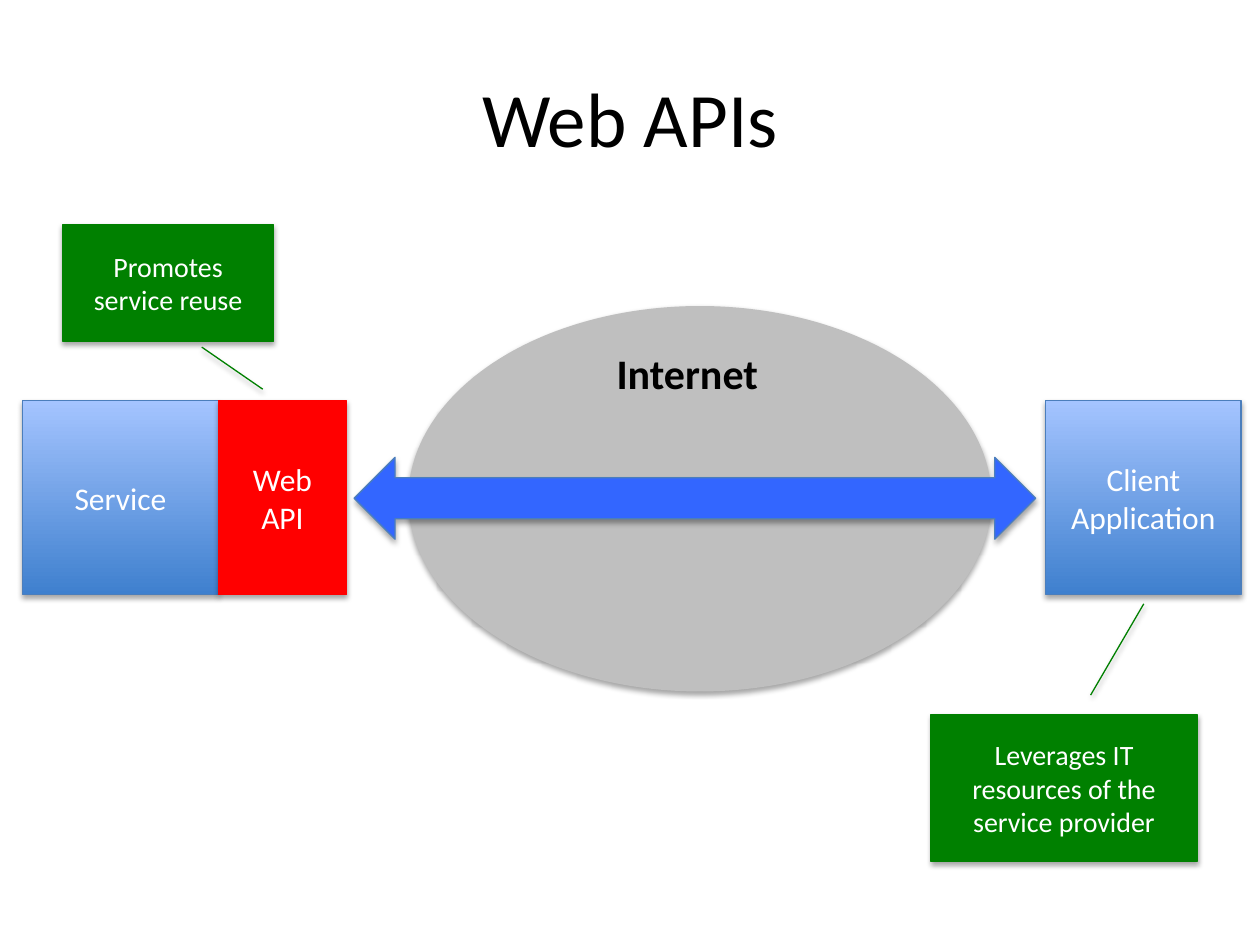
from dataclasses import dataclass

from lxml.etree import SubElement
from pptx import Presentation
from pptx.dml.color import RGBColor
from pptx.enum.shapes import MSO_SHAPE
from pptx.enum.text import MSO_ANCHOR, MSO_AUTO_SIZE, PP_ALIGN
from pptx.oxml.ns import qn
from pptx.util import Cm, Pt


@dataclass(frozen=True)
class Theme:
    font: str = "Calibri"
    black: str = "000000"
    white: str = "FFFFFF"
    red: str = "FF0000"
    green: str = "008000"
    grey: str = "BFBFBF"
    arrow_blue: str = "3366FF"
    outline_blue: str = "4B7EBC"
    box_gradient: tuple = ("3F80CE", "A4C4FF")  # bottom, top
    title_size: int = 44
    heading_size: int = 24
    box_size: int = 18
    callout_size: int = 16
    line_width: float = 0.75


THEME = Theme()
ROW_TOP, ROW_HEIGHT = 8.08, 3.91
BOX_WIDTH = 3.94


def write_text(shape, lines, size, color, bold=False):
    """Write one centred paragraph per line."""
    frame = shape.text_frame
    frame.word_wrap = True
    for index, line in enumerate(lines):
        paragraph = frame.add_paragraph() if index else frame.paragraphs[0]
        paragraph.alignment = PP_ALIGN.CENTER
        run = paragraph.add_run()
        run.text = line
        run.font.name = THEME.font
        run.font.size = Pt(size)
        run.font.bold = bold
        run.font.color.rgb = RGBColor.from_string(color)


def add_soft_shadow(shape):
    shape.shadow.inherit = False
    effects = shape._element.spPr.find(qn("a:effectLst"))
    shadow = SubElement(effects, qn("a:outerShdw"), blurRad=str(Pt(3.1)),
                        dist=str(Pt(1.8)), dir="5400000", rotWithShape="0")
    color = SubElement(shadow, qn("a:srgbClr"), val=THEME.black)
    SubElement(color, qn("a:alpha"), val="35000")


def add_figure(slide, kind, bounds, fill, line=None):
    """Add a shadowed shape; a pair of fill colours makes a gradient."""
    shape = slide.shapes.add_shape(kind, *map(Cm, bounds))
    if isinstance(fill, tuple):
        shape.fill.gradient()
        shape.fill.gradient_angle = 90
        for stop, color in zip(shape.fill.gradient_stops, fill):
            stop.color.rgb = RGBColor.from_string(color)
    else:
        shape.fill.solid()
        shape.fill.fore_color.rgb = RGBColor.from_string(fill)
    if line:
        shape.line.color.rgb = RGBColor.from_string(line)
        shape.line.width = Pt(THEME.line_width)
    else:
        shape.line.fill.background()
    add_soft_shadow(shape)
    return shape


def add_box(slide, left, width, lines, fill, line):
    bounds = (left, ROW_TOP, width, ROW_HEIGHT)
    box = add_figure(slide, MSO_SHAPE.RECTANGLE, bounds, fill, line)
    box.text_frame.vertical_anchor = MSO_ANCHOR.MIDDLE
    write_text(box, lines, THEME.box_size, THEME.white)


def add_callout(slide, bounds, text, pointer):
    """Pointer holds start y, start x, end y, end x as shares of the box."""
    callout = add_figure(slide, MSO_SHAPE.LINE_CALLOUT_1, bounds, THEME.green, THEME.green)
    for index, share in enumerate(pointer):
        callout.adjustments[index] = share
    callout.text_frame.vertical_anchor = MSO_ANCHOR.MIDDLE
    write_text(callout, [text], THEME.callout_size, THEME.white)


def add_title(slide, text):
    title = slide.shapes.title
    title.left, title.top, title.width, title.height = map(Cm, (1.27, 0.76, 22.86, 3.18))
    title.text_frame.vertical_anchor = MSO_ANCHOR.MIDDLE
    write_text(title, [text], THEME.title_size, THEME.black)


def add_label(slide, bounds, text):
    label = slide.shapes.add_textbox(*map(Cm, bounds))
    label.text_frame.auto_size = MSO_AUTO_SIZE.SHAPE_TO_FIT_TEXT
    write_text(label, [text], THEME.heading_size, THEME.black, bold=True)


def main():
    presentation = Presentation()
    presentation.slide_width, presentation.slide_height = Cm(25.4), Cm(19.05)
    slide = presentation.slides.add_slide(presentation.slide_layouts.get_by_name("Title Only"))
    add_title(slide, "Web APIs")

    # Service with its API
    add_box(slide, 0.46, BOX_WIDTH, ["Service"], THEME.box_gradient, THEME.outline_blue)
    add_box(slide, 0.46 + BOX_WIDTH, 2.59, ["Web API"], THEME.red, THEME.red)

    # Internet, client and the exchange between them
    add_figure(slide, MSO_SHAPE.OVAL, (8.23, 6.17, 11.76, 7.77), THEME.grey)
    add_box(slide, 21.08, BOX_WIDTH, ["Client", "Application"],
            THEME.box_gradient, THEME.outline_blue)
    add_figure(slide, MSO_SHAPE.LEFT_RIGHT_ARROW, (7.14, 9.22, 13.74, 1.65),
               THEME.arrow_blue, THEME.outline_blue)
    add_label(slide, (11.63, 6.88, 4.45, 1.27), "Internet")

    # Benefits
    add_callout(slide, (1.27, 4.52, 4.24, 2.36), "Promotes service reuse",
                (1.05, 0.66, 1.41, 0.95))
    add_callout(slide, (18.77, 14.4, 5.36, 2.97),
                "Leverages IT resources of the service provider",
                (-0.13, 0.6, -0.75, 0.8))

    presentation.save("out.pptx")


if __name__ == "__main__":
    main()
